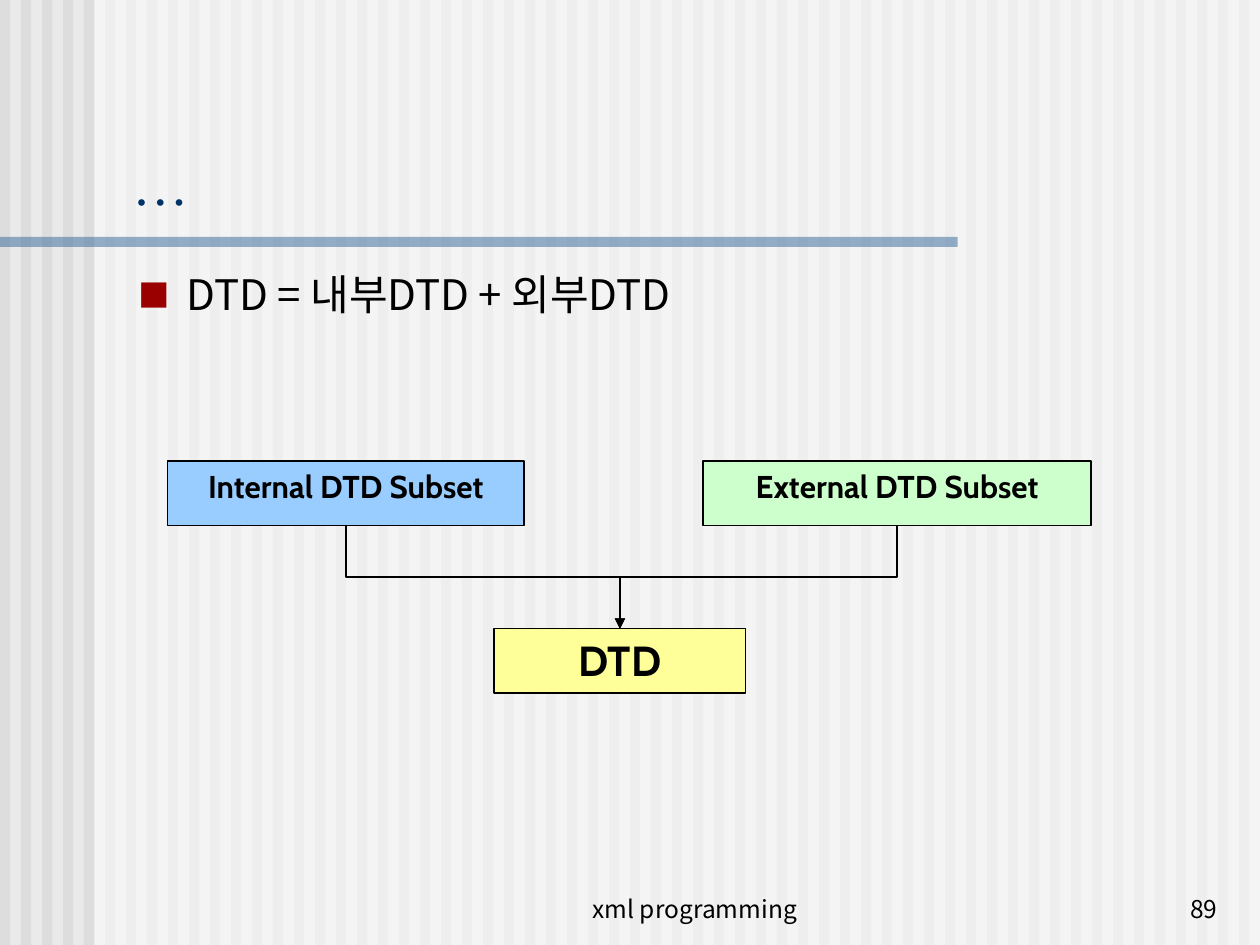
"""Build the slide showing a DTD as the sum of its internal and external subsets."""
import pptx
import pptx.dml.color
import pptx.enum.shapes
import pptx.enum.text
import pptx.oxml
import pptx.oxml.ns
import pptx.util
from pptx.util import Inches

ALIGN = pptx.enum.text.PP_ALIGN
ANCHOR = pptx.enum.text.MSO_ANCHOR
BODY_FONT = "Noto Sans CJK KR"
BLACK = "000000"
TITLE = "…"
BULLET = "DTD = 내부DTD + 외부DTD"
FOOTERS = [
    ("xml programming", (3.93, 6.88, 3.17, 0.5), ALIGN.CENTER),
    ("89", (7.68, 6.88, 2.08, 0.5), ALIGN.RIGHT),
]
SUBSETS = [
    ("Internal DTD Subset", (1.33, 3.66, 2.83, 0.51), "99CCFF", 18),
    ("External DTD Subset", (5.58, 3.66, 3.08, 0.51), "CCFFCC", 18),
]
RESULT = ("DTD", (3.92, 4.99, 2, 0.51), "FFFF99", 24)
STRIPE_COUNT, STRIPE_WIDTH = 60, 0.08
VEIL = ((0.75, 0, 9.26, 7.5), "FFFFFF")
RULE = ((0, 1.88, 7.6, 0.08), "336699")


def set_color(target, value):
    target.rgb = pptx.dml.color.RGBColor.from_string(value)


def add_xml(parent, tag, **attributes):
    child = pptx.oxml.parse_xml(f"<a:{tag} {pptx.oxml.ns.nsdecls('a')}/>")
    for name, value in attributes.items():
        child.set(name, value)
    parent.append(child)
    return child


def add_block(page, place, color, alpha=None):
    block = page.shapes.add_shape(
        pptx.enum.shapes.MSO_SHAPE.RECTANGLE, *map(Inches, place))
    block.shadow.inherit = False
    block.fill.solid()
    set_color(block.fill.fore_color, color)
    block.line.fill.background()
    if alpha:
        srgb = block._element.spPr.find(".//" + pptx.oxml.ns.qn("a:srgbClr"))
        add_xml(srgb, "alpha", val=str(alpha * 1000))
    return block


def write(box, text, size, font, color=BLACK, align=ALIGN.LEFT,
          anchor=ANCHOR.TOP, bold=False):
    frame = box.text_frame
    frame.text = text
    frame.word_wrap = True
    frame.auto_size = pptx.enum.text.MSO_AUTO_SIZE.NONE
    frame.vertical_anchor = anchor
    para = frame.paragraphs[0]
    para.alignment = align
    para.space_before = pptx.util.Pt(0)
    span = para.runs[0]
    span.font.size = pptx.util.Pt(size)
    span.font.name = font
    span.font.bold = bold
    set_color(span.font.color, color)
    add_xml(span.font._element, "ea", typeface=font)
    return para


def place_holder(page, holder, place):
    holder.left, holder.top, holder.width, holder.height = map(Inches, place)
    page.shapes._spTree.append(holder._element)


def add_node(page, text, place, color, size):
    node = add_block(page, place, color)
    set_color(node.line.color, BLACK)
    node.line.width = pptx.util.Pt(0.75)
    write(node, text, size, "Cabin", align=ALIGN.CENTER, bold=True)


def add_arrow(page, source, target):
    """Draw a down-across-down elbow, a turned horizontal elbow."""
    start_x, start_y = source[0] + source[2] / 2, source[1] + source[3]
    end_x, end_y = target[0] + target[2] / 2, target[1]
    center_x, center_y = (start_x + end_x) / 2, (start_y + end_y) / 2
    half_drop, half_span = (end_y - start_y) / 2, abs(end_x - start_x) / 2
    rightward = end_x > start_x
    side = half_drop if rightward else -half_drop
    arrow = page.shapes.add_connector(
        pptx.enum.shapes.MSO_CONNECTOR.ELBOW,
        Inches(center_x + side), Inches(center_y - half_span),
        Inches(center_x - side), Inches(center_y + half_span))
    properties = arrow._element.spPr
    degrees = 270 if rightward else 90
    properties.find(pptx.oxml.ns.qn("a:xfrm")).set("rot", str(degrees * 60000))
    set_color(arrow.line.color, BLACK)
    arrow.line.width = pptx.util.Pt(0.75)
    add_xml(arrow.line._get_or_add_ln(), "tailEnd", type="triangle")
    add_xml(properties, "effectLst")


def main():
    deck = pptx.Presentation()
    deck.slide_width, deck.slide_height = Inches(10), Inches(7.5)
    page = deck.slides.add_slide(deck.slide_layouts[1])
    page.background.fill.solid()
    set_color(page.background.fill.fore_color, "EAEAEA")

    for index in range(STRIPE_COUNT):
        add_block(page, (index / 6, 0, STRIPE_WIDTH, 7.5), "DDDDDD")
    for place, color in (VEIL, RULE):
        add_block(page, place, color, alpha=50)

    for text, place, align in FOOTERS:
        box = page.shapes.add_textbox(*map(Inches, place))
        write(box, text, 14, BODY_FONT, align=align, anchor=ANCHOR.BOTTOM)

    title, body = page.shapes.title, page.placeholders[1]
    place_holder(page, title, (0.95, 1.14, 8.93, 0.63))
    write(title, TITLE, 32, "Times New Roman", "003366", anchor=ANCHOR.BOTTOM)
    place_holder(page, body, (1, 2.08, 8.87, 4.58))
    para = write(body, BULLET, 24, BODY_FONT)
    layout = para._p.get_or_add_pPr()
    layout.set("marL", str(Inches(0.38)))
    layout.set("indent", str(-Inches(0.38)))
    add_xml(add_xml(layout, "buClr"), "srgbClr", val="9A0000")
    add_xml(layout, "buSzPct", val="75000")
    add_xml(layout, "buFont", typeface=BODY_FONT)
    add_xml(layout, "buChar", char="■")

    for node in (*SUBSETS, RESULT):
        add_node(page, *node)
    for subset in SUBSETS:
        add_arrow(page, subset[1], RESULT[1])
    deck.save("out.pptx")


if __name__ == "__main__":
    main()
